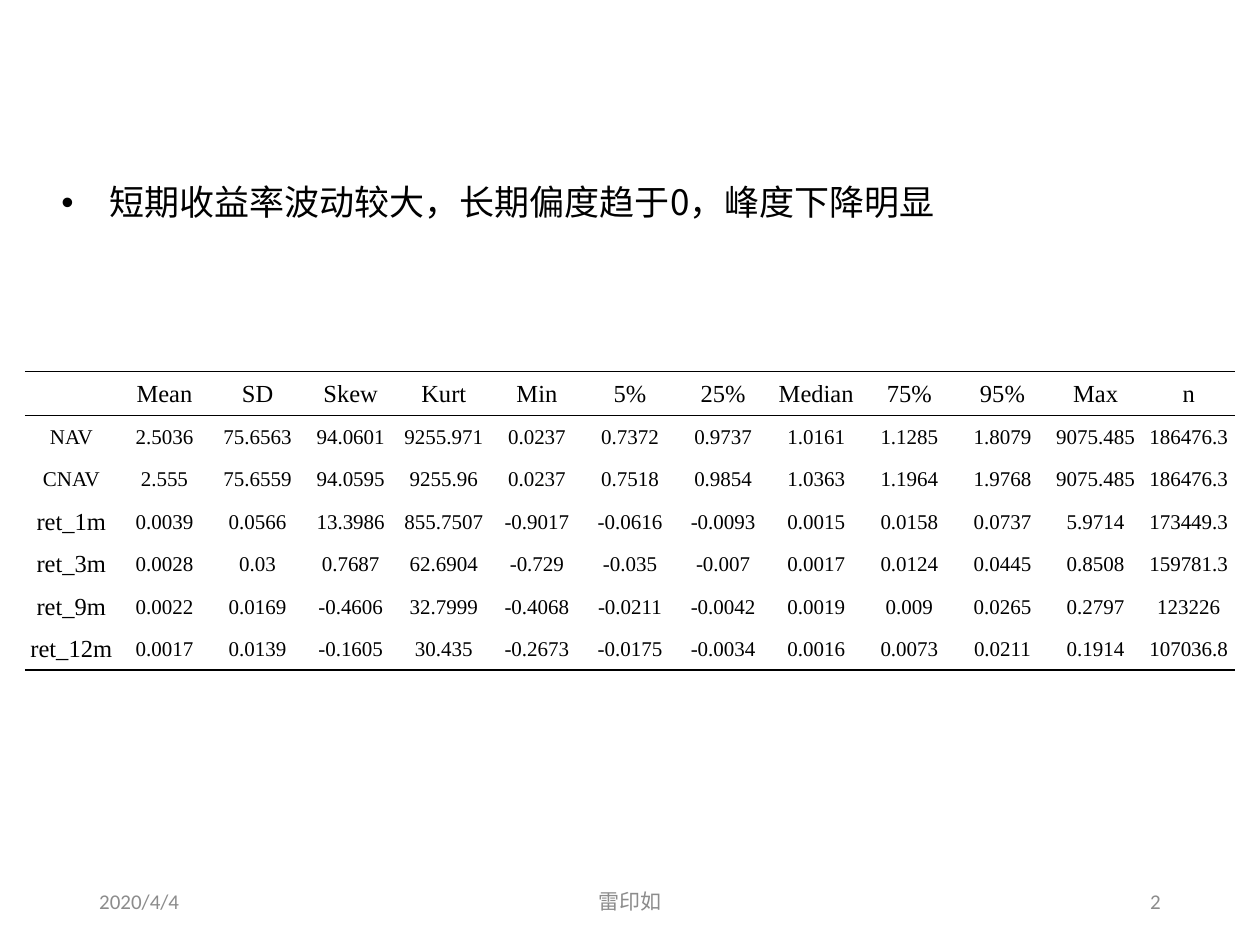
from pptx import Presentation
from pptx.dml.color import RGBColor
from pptx.enum.text import MSO_ANCHOR, PP_ALIGN
from pptx.oxml.ns import qn
from pptx.util import Cm, Pt
from lxml.etree import SubElement

HEADER = ["", "Mean", "SD", "Skew", "Kurt", "Min", "5%", "25%", "Median",
          "75%", "95%", "Max", "n"]
STATISTICS = """
NAV 2.5036 75.6563 94.0601 9255.971 0.0237 0.7372 0.9737 1.0161 1.1285 1.8079 9075.485 186476.3
CNAV 2.555 75.6559 94.0595 9255.96 0.0237 0.7518 0.9854 1.0363 1.1964 1.9768 9075.485 186476.3
ret_1m 0.0039 0.0566 13.3986 855.7507 -0.9017 -0.0616 -0.0093 0.0015 0.0158 0.0737 5.9714 173449.3
ret_3m 0.0028 0.03 0.7687 62.6904 -0.729 -0.035 -0.007 0.0017 0.0124 0.0445 0.8508 159781.3
ret_9m 0.0022 0.0169 -0.4606 32.7999 -0.4068 -0.0211 -0.0042 0.0019 0.009 0.0265 0.2797 123226
ret_12m 0.0017 0.0139 -0.1605 30.435 -0.2673 -0.0175 -0.0034 0.0016 0.0073 0.0211 0.1914 107036.8
"""


def color(hex_string):
    return RGBColor.from_string(hex_string)


class SlideBuilder:
    text_color = "000000"
    muted_color = "8C8C8C"
    table_font = "Times New Roman"
    footer_font = "Calibri"
    body_font = "Noto Sans CJK SC"

    def __init__(self, slide):
        self.slide = slide

    def style(self, paragraph, size, font_name, hex_color, alignment):
        paragraph.alignment = alignment
        font = paragraph.font
        font.size = Pt(size)
        font.name = font_name
        font.color.rgb = color(hex_color)

    def text_box(self, left, top, width, height, text):
        shape = self.slide.shapes.add_textbox(Cm(left), Cm(top), Cm(width), Cm(height))
        frame = shape.text_frame
        frame.word_wrap = True
        frame.vertical_anchor = MSO_ANCHOR.MIDDLE
        paragraph = frame.paragraphs[0]
        paragraph.text = text
        return paragraph

    def footer(self, left, width, text, alignment):
        paragraph = self.text_box(left, 17.65, width, 1.02, text)
        self.style(paragraph, 12, self.footer_font, self.muted_color, alignment)

    def bullet(self, left, top, width, height, text):
        paragraph = self.text_box(left, top, width, height, text)
        paragraph.line_spacing = 0.9
        properties = paragraph._p.get_or_add_pPr()
        indent = Cm(0.96)
        properties.set("marL", str(indent))
        properties.set("indent", str(-indent))
        SubElement(properties, qn("a:buFont"), typeface="Arial")
        SubElement(properties, qn("a:buChar"), char="•")
        self.style(paragraph, 20, self.body_font, self.text_color, PP_ALIGN.LEFT)
        SubElement(properties.find(qn("a:defRPr")), qn("a:ea"), typeface=self.body_font)

    def borders(self, cell, ruled_edges):
        properties = cell._tc.get_or_add_tcPr()
        for edge in "LRTB":
            line = SubElement(properties, qn(f"a:ln{edge}"), w=str(Pt(1)))
            if edge in ruled_edges:
                fill = SubElement(line, qn("a:solidFill"))
                SubElement(fill, qn("a:srgbClr"), val=self.text_color)
            else:
                SubElement(line, qn("a:noFill"))

    def cell(self, cell, text, size, ruled_edges):
        self.borders(cell, ruled_edges)
        cell.fill.background()
        cell.vertical_anchor = MSO_ANCHOR.MIDDLE
        cell.margin_left = cell.margin_right = cell.margin_top = Cm(0.02)
        cell.margin_bottom = 0
        paragraph = cell.text_frame.paragraphs[0]
        paragraph.text = text
        self.style(paragraph, size, self.table_font, self.text_color, PP_ALIGN.CENTER)

    def table(self, left, top, width, header_height, body_height, rows):
        row_count, column_count = len(rows), len(rows[0])
        table = self.slide.shapes.add_table(
            row_count, column_count, Cm(left), Cm(top), Cm(width),
            Cm(header_height + body_height)).table
        table.first_row = table.horz_banding = False
        for column in table.columns:
            column.width = Cm(width / column_count)
        # Rules above and below the header, and below the last row
        edges = {0: "TB", 1: "T", row_count - 1: "B"}
        for row_index, values in enumerate(rows):
            is_header = row_index == 0
            table.rows[row_index].height = Cm(
                header_height if is_header else body_height / (row_count - 1))
            for column_index, text in enumerate(values):
                large = is_header or text.startswith("ret_")
                self.cell(table.cell(row_index, column_index), text,
                          14 if large else 12, edges.get(row_index, ""))


def main():
    presentation = Presentation()
    presentation.slide_width, presentation.slide_height = Cm(25.4), Cm(19.05)
    builder = SlideBuilder(presentation.slides.add_slide(presentation.slide_layouts[6]))

    # Footer: date, author, slide number
    builder.footer(1.75, 5.72, "2020/4/4", PP_ALIGN.LEFT)
    builder.footer(8.41, 8.58, "雷印如", PP_ALIGN.CENTER)
    builder.footer(17.93, 5.72, "2", PP_ALIGN.RIGHT)

    # Summary statistics
    rows = [HEADER] + [line.split() for line in STATISTICS.strip().splitlines()]
    builder.table(0.5, 7.49, 24.41, 0.89, 5.13, rows)

    # Finding
    builder.bullet(0.99, 2.59, 20.35, 3.07, "短期收益率波动较大，长期偏度趋于0，峰度下降明显")

    presentation.save("out.pptx")


if __name__ == "__main__":
    main()
